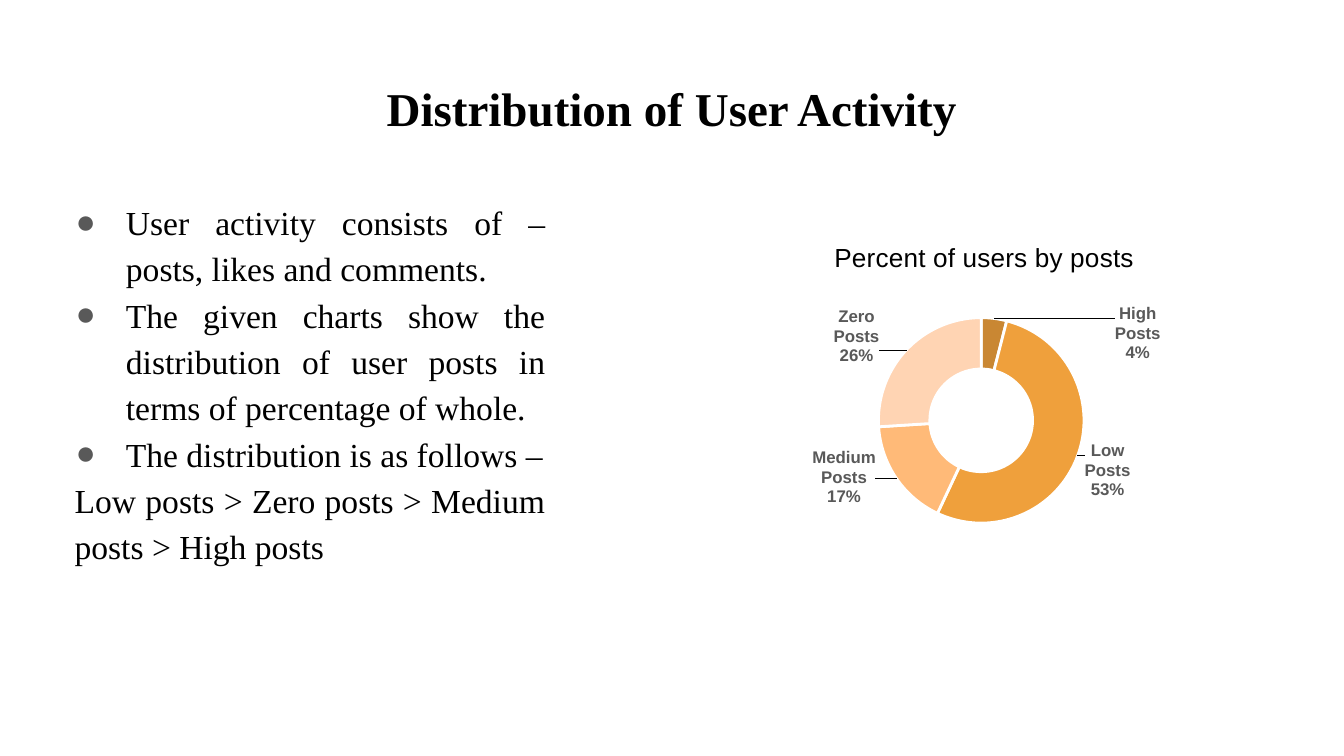
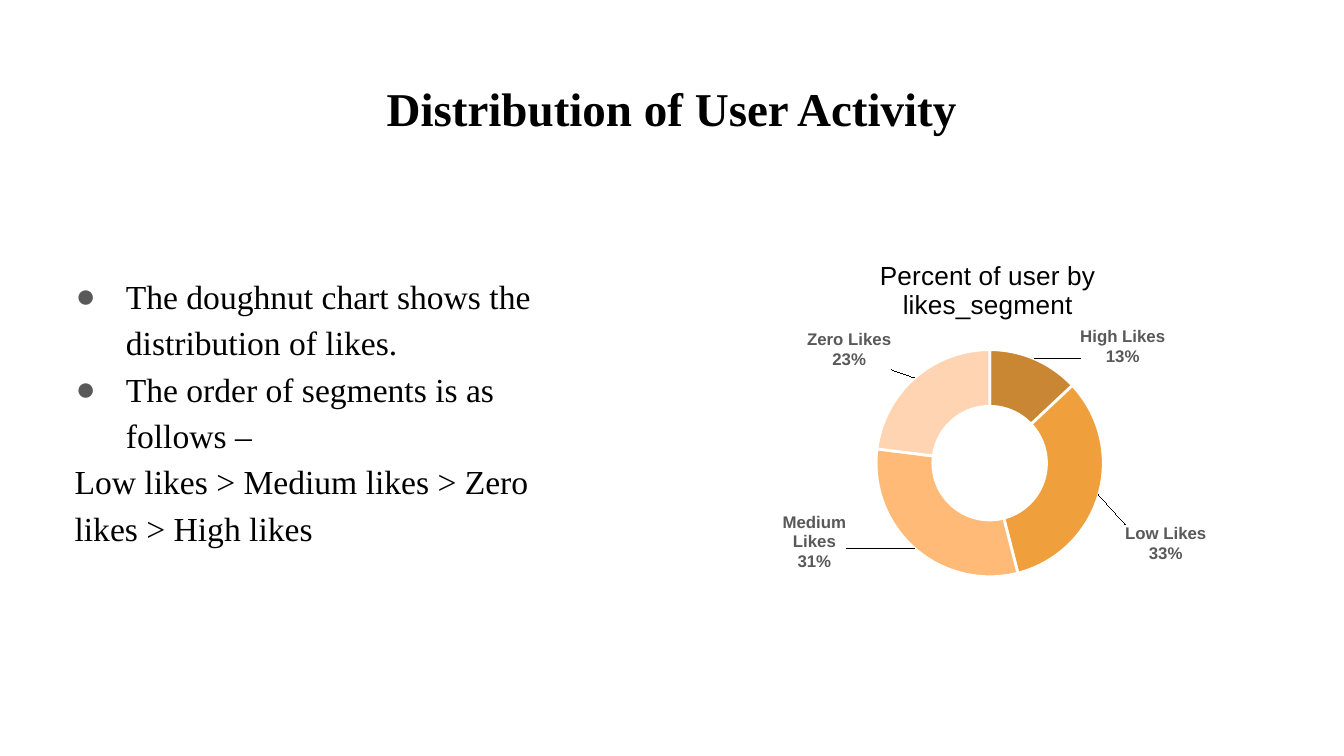
from copy import deepcopy
from dataclasses import dataclass

from lxml import etree
from pptx import Presentation
from pptx.chart.data import CategoryChartData
from pptx.dml.color import RGBColor
from pptx.enum.chart import XL_CHART_TYPE
from pptx.enum.text import MSO_ANCHOR, MSO_AUTO_SIZE, PP_ALIGN
from pptx.oxml.ns import qn
from pptx.util import Cm, Pt

DOUGHNUT = XL_CHART_TYPE.DOUGHNUT
CENTER, LEFT, JUSTIFY = PP_ALIGN.CENTER, PP_ALIGN.LEFT, PP_ALIGN.JUSTIFY
TOP, MIDDLE = MSO_ANCHOR.TOP, MSO_ANCHOR.MIDDLE
NO_FIT = MSO_AUTO_SIZE.NONE


@dataclass(frozen=True)
class Theme:
    serif: str = "Times New Roman"
    sans: str = "Arial"
    ink: str = "000000"
    muted: str = "595959"
    paper: str = "FFFFFF"
    slices: tuple = ("C98733", "EFA03C", "FFBA78", "FFD4B3")
    title_size: float = 25.2
    body_size: float = 18
    chart_title_size: float = 14
    chart_size: float = 10
    label_size: float = 9


THEME = Theme()
TITLE = "Distribution of User Activity"
TITLE_BOX = (0.86, 1.24, 23.67, 1.6)

# Boxes are in centimetres; plot, title and label places are chart fractions
SLIDES = [
    dict(
        bullets=[
            "User activity consists of – posts, likes and comments.",
            "The given charts show the distribution of user posts in terms of percentage of whole.",
            "The distribution is as follows –",
        ],
        order="Low posts > Zero posts > Medium posts > High posts",
        align=JUSTIFY,
        body_box=(0.86, 3.45, 9.7, 9.25),
        chart_box=(13.92, 4.06, 9.25, 6.48),
        chart=dict(
            title=["Percent of users by posts"],
            categories=["High Posts", "Low Posts", "Medium Posts", "Zero Posts"],
            values=[4, 53, 17, 26],
            title_at=(0.19, 0.06),
            plot_at=(0.29, 0.3, 0.42, 0.6),
            label_shifts=[(0.3, -0.03), (0.11, 0.07), (-0.15, 0.04), (-0.14, -0.09)],
        ),
    ),
    dict(
        bullets=[
            "The doughnut chart shows the distribution of likes.",
            "The order of segments is as follows –",
        ],
        order="Low likes > Medium likes > Zero likes > High likes",
        align=LEFT,
        body_box=(0.86, 4.85, 10.52, 6.43),
        chart_box=(14.02, 4.39, 9.37, 7.16),
        chart=dict(
            title=["Percent of user by", "likes_segment"],
            categories=["High Likes", "Low Likes", "Medium Likes", "Zero Likes"],
            values=[13, 33, 31, 23],
            title_at=(0.27, 0.06),
            plot_at=(0.27, 0.31, 0.46, 0.6),
            label_shifts=[(0.2, -0.1), (0.19, 0.15), (-0.24, 0.04), (-0.17, -0.13)],
        ),
    ),
]


def rgb(color):
    return RGBColor.from_string(color)


def set_font(font, name, size, color, bold=False):
    font.name, font.size, font.bold = name, Pt(size), bold
    font.color.rgb = rgb(color)


def add_text(p, text, font=THEME.serif, size=THEME.body_size,
             color=THEME.ink, bold=False, align=None, spacing=None):
    p.alignment = align
    p.line_spacing = spacing
    p.space_before = p.space_after = Pt(0)
    r = p.add_run()
    r.text = text
    set_font(r.font, font, size, color, bold)


def add_child(parent, tag, **attrs):
    return etree.SubElement(parent, qn(tag), attrs)


def set_bullet(p, indent, hanging=0.0, char=None):
    pPr = p._p.get_or_add_pPr()
    pPr.set("marL", str(Cm(indent)))
    pPr.set("indent", str(-Cm(hanging)))
    if char is None:
        add_child(pPr, "a:buNone")
        return
    add_child(add_child(pPr, "a:buClr"), "a:srgbClr", val=THEME.muted)
    add_child(pPr, "a:buFont", typeface=THEME.serif)
    add_child(pPr, "a:buChar", char=char)


def place(sp, box, anchor):
    sp.left, sp.top, sp.width, sp.height = map(Cm, box)
    tf = sp.text_frame
    tf.margin_left = tf.margin_right = tf.margin_top = tf.margin_bottom = Cm(0.25)
    tf.word_wrap, tf.auto_size, tf.vertical_anchor = True, NO_FIT, anchor
    return tf


def set_layout(parent, index, x, y, w=None, h=None, edge=True):
    """Place a chart part by fractions; edge=False shifts it from its default."""
    for old in parent.findall(qn("c:layout")):
        parent.remove(old)
    layout = etree.Element(qn("c:layout"))
    manual = add_child(layout, "c:manualLayout")
    if w is not None:
        add_child(manual, "c:layoutTarget", val="inner")
    if edge:
        add_child(manual, "c:xMode", val="edge")
        add_child(manual, "c:yMode", val="edge")
    for tag, value in zip(("c:x", "c:y", "c:w", "c:h"), (x, y, w, h)):
        if value is not None:
            add_child(manual, tag, val=str(value))
    parent.insert(index, layout)


def title_region(s, box):
    tf = place(s.shapes.title, box, MIDDLE)
    add_text(tf.paragraphs[0], TITLE, size=THEME.title_size, bold=True, align=CENTER)


def body_region(s, box, bullets, order, align):
    tf = place(s.placeholders[1], box, TOP)
    for i, text in enumerate(bullets + [order]):
        p = tf.add_paragraph() if i else tf.paragraphs[0]
        add_text(p, text, align=align, spacing=1.15)
        if i < len(bullets):
            set_bullet(p, 1.27, 0.95, "●")
        else:
            set_bullet(p, 0.3)


def label_slices(series, shifts):
    labels = series.data_labels
    labels.show_value, labels.show_category_name = False, True
    labels.show_percentage = True
    labels.number_format, labels.number_format_is_linked = "0%", False
    set_font(labels.font, THEME.sans, THEME.label_size, THEME.muted, bold=True)

    dLbls = labels._element
    separator = etree.Element(qn("c:separator"))
    separator.text = "\n"
    dLbls.find(qn("c:showBubbleSize")).addnext(separator)

    # Each slice repeats the shared label format and adds its own shift
    shared = [el for el in dLbls if el.tag != qn("c:showLeaderLines")]
    for i, (dx, dy) in enumerate(shifts):
        dLbl = etree.Element(qn("c:dLbl"))
        add_child(dLbl, "c:idx", val=str(i))
        dLbl.extend([deepcopy(el) for el in shared])
        set_layout(dLbl, 1, dx, dy, edge=False)
        dLbls.insert(i, dLbl)


def chart_region(s, box, title, categories, values, title_at, plot_at, label_shifts):
    data = CategoryChartData()
    data.categories = categories
    data.add_series("Series 1", values)
    chart = s.shapes.add_chart(DOUGHNUT, *map(Cm, box), data).chart
    chart.has_legend = False
    set_font(chart.font, THEME.sans, THEME.chart_size, THEME.ink)

    # Chart title
    chart.has_title = True
    tf = chart.chart_title.text_frame
    for i, line in enumerate(title):
        p = tf.add_paragraph() if i else tf.paragraphs[0]
        add_text(p, line, font=THEME.sans, size=THEME.chart_title_size, align=CENTER)
    root = chart._chartSpace
    set_layout(root.find(".//" + qn("c:title")), 1, *title_at)

    # Ring
    set_layout(root.find(".//" + qn("c:plotArea")), 0, *plot_at)
    root.find(".//" + qn("c:holeSize")).set("val", "75")
    plot = chart.plots[0]
    plot.vary_by_categories = True
    series = plot.series[0]
    for i, color in enumerate(THEME.slices):
        fmt = series.points[i].format
        fmt.fill.solid()
        fmt.fill.fore_color.rgb = rgb(color)
        fmt.line.color.rgb = rgb(THEME.paper)
        fmt.line.width = Pt(1.5)
    label_slices(series, label_shifts)


def activity_slide(prs, bullets, order, align, body_box, chart_box, chart):
    s = prs.slides.add_slide(prs.slide_layouts[1])
    title_region(s, TITLE_BOX)
    body_region(s, body_box, bullets, order, align)
    chart_region(s, chart_box, **chart)


def main():
    prs = Presentation()
    prs.slide_width, prs.slide_height = Cm(25.4), Cm(14.29)
    fill = prs.slide_master.background.fill
    fill.solid()
    fill.fore_color.rgb = rgb(THEME.paper)
    for content in SLIDES:
        activity_slide(prs, **content)
    prs.save("out.pptx")


if __name__ == "__main__":
    main()
